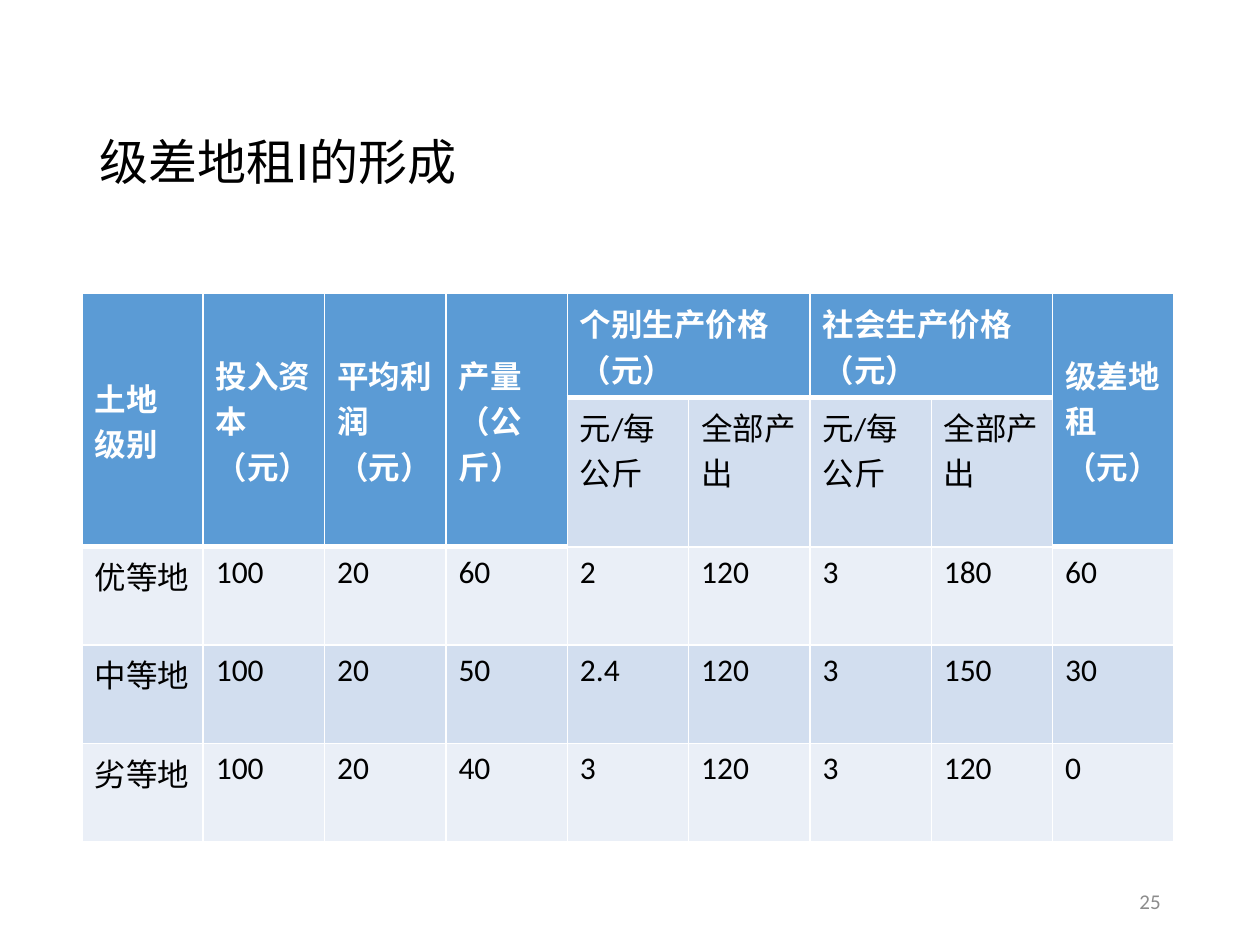
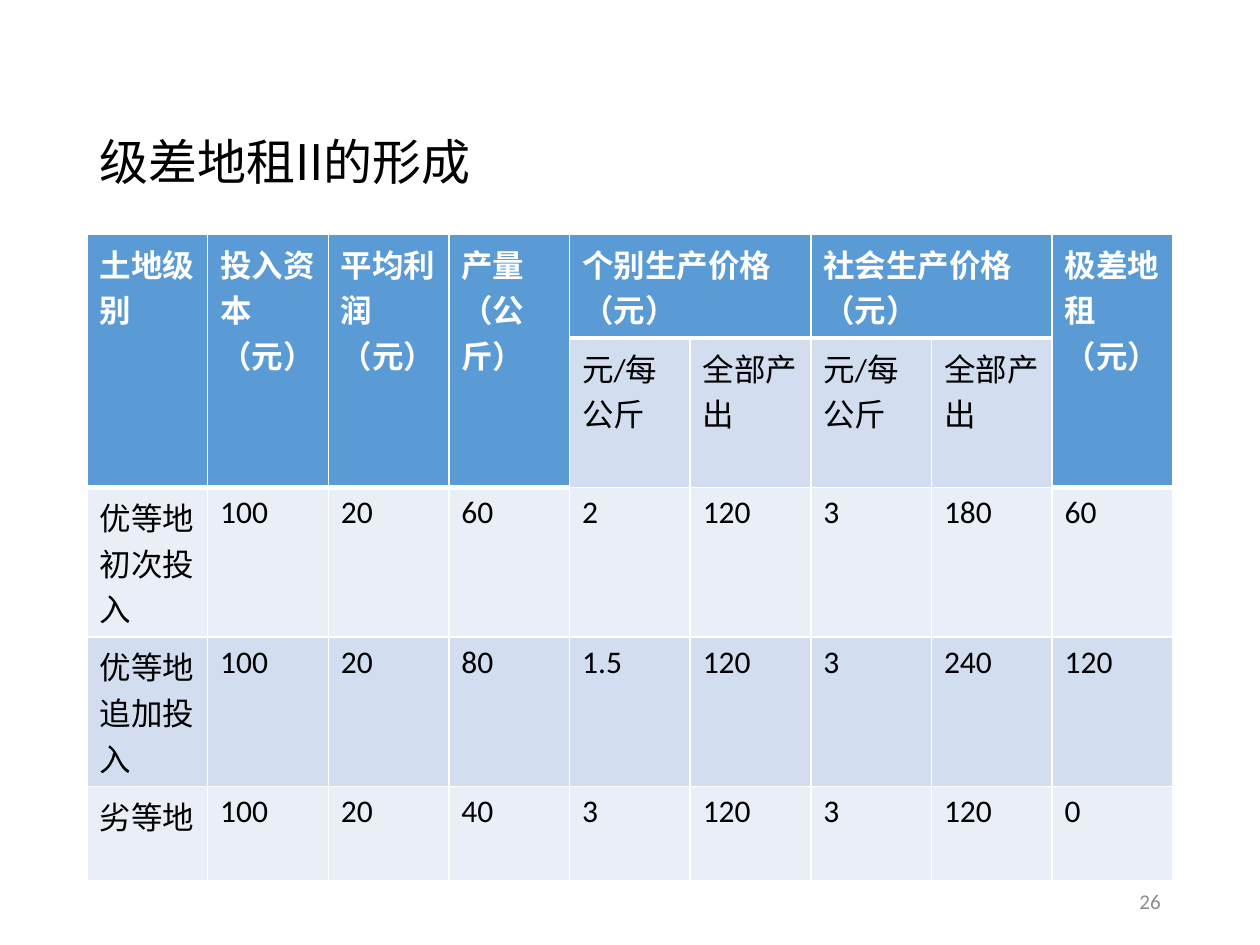
import pptx
import pptx.util
import pptx.dml.color
import pptx.enum.text
import pptx.oxml
import pptx.oxml.ns

# Content: one dict per slide, the first header row spans two rows or two columns
SUBHEADS = ["元/每公斤", "全部产出"] * 2
PRICE_HEADS = ["个别生产价格（元）", "社会生产价格（元）"]
SLIDES = [
    {
        "title": "级差地租I的形成",
        "number": "25",
        "heads": ["土地\n级别", "投入资本（元）", "平均利润（元）", "产量\n（公斤）"],
        "last_head": "级差地租（元）",
        "head_anchor": "MIDDLE",
        "body": [
            ["优等地", "100", "20", "60", "2", "120", "3", "180", "60"],
            ["中等地", "100", "20", "50", "2.4", "120", "3", "150", "30"],
            ["劣等地", "100", "20", "40", "3", "120", "3", "120", "0"],
        ],
        "place": (0.65, 2.33, 8.67),
        "rows": [0.78, 0.71, 0.78, 0.78, 0.78],
    },
    {
        "title": "级差地租II的形成",
        "number": "26",
        "heads": ["土地级别", "投入资本（元）", "平均利润（元）", "产量（公斤）"],
        "last_head": "极差地租（元）",
        "head_anchor": "TOP",
        "body": [
            ["优等地初次投入", "100", "20", "60", "2", "120", "3", "180", "60"],
            ["优等地追加投入", "100", "20", "80", "1.5", "120", "3", "240", "120"],
            ["劣等地", "100", "20", "40", "3", "120", "3", "120", "0"],
        ],
        "place": (0.69, 1.86, 8.62),
        "rows": [0.75] * 5,
    },
]

# Shared look
BLUE, BAND_DARK, BAND_LIGHT = "5B9BD5", "D2DEEF", "EAEFF7"
WHITE, BLACK, GREY = "FFFFFF", "000000", "8C8C8C"
CJK_FONT, LATIN_FONT = "Noto Sans CJK SC", "Calibri"
TITLE_FORMAT = {"size": pptx.util.Pt(28), "name": CJK_FONT, "bold": False}
CELL_FORMAT = {"size": pptx.util.Pt(18), "name": LATIN_FONT, "bold": False}
HEAD_FORMAT = {**CELL_FORMAT, "bold": True}
NUMBER_FORMAT = {"size": pptx.util.Pt(12), "name": LATIN_FONT, "bold": False}
TITLE_AREA = (0.69, 0.88, 6.29, 0.85)
NUMBER_AREA = (7.06, 6.95, 2.25, 0.4)
COLUMNS = 9
PRICE_COLUMNS = range(4, 8)
THIN, THICK = 1, 3

inch = pptx.util.Inches
Anchor = pptx.enum.text.MSO_ANCHOR
Align = pptx.enum.text.PP_ALIGN


def colour(value):
    return pptx.dml.color.RGBColor.from_string(value)


def write(frame, text, formats, ink, align=Align.LEFT, spacing=None):
    frame.word_wrap = True
    frame.text = text
    for para in frame.paragraphs:
        para.alignment = align
        para.line_spacing = spacing
        for span in para.runs:
            for name, value in formats.items():
                setattr(span.font, name, value)
            span.font.color.rgb = colour(ink)
            east_asian = pptx.oxml.parse_xml(
                f'<a:ea {pptx.oxml.ns.nsdecls("a")} typeface="{CJK_FONT}"/>')
            span.font._element.find(pptx.oxml.ns.qn("a:latin")).addnext(east_asian)


def set_borders(cell, widths):
    """Insert white side lines ahead of the cell's fill."""
    for index, (side, points) in enumerate(widths.items()):
        line = pptx.oxml.parse_xml(
            f'<a:ln{side} {pptx.oxml.ns.nsdecls("a")} w="{pptx.util.Pt(points)}">'
            f'<a:solidFill><a:srgbClr val="{WHITE}"/></a:solidFill></a:ln{side}>')
        cell._tc.get_or_add_tcPr().insert(index, line)


def is_head(row, column):
    return row == 0 or (row == 1 and column not in PRICE_COLUMNS)


def add_rent_table(page, content):
    left, top, width = content["place"]
    heights = content["rows"]
    table = page.shapes.add_table(
        len(heights), COLUMNS, inch(left), inch(top), inch(width), inch(sum(heights))).table
    for column in table.columns:
        column.width = inch(width / COLUMNS)
    for row, height in zip(table.rows, heights):
        row.height = inch(height)

    # Price heads cover two columns, the other heads cover two rows
    own, foreign = PRICE_HEADS
    grid = [
        content["heads"] + [own, "", foreign, "", content["last_head"]],
        [""] * 4 + SUBHEADS + [""],
    ] + content["body"]
    for r, texts in enumerate(grid):
        for c, text in enumerate(texts):
            cell = table.cell(r, c)
            head = is_head(r, c)
            below_head = r > 0 and is_head(r - 1, c) and not head
            cell.fill.solid()
            cell.fill.fore_color.rgb = colour(
                BLUE if head else BAND_DARK if r % 2 else BAND_LIGHT)
            set_borders(cell, {"L": THIN, "R": THIN,
                               "T": THICK if below_head else THIN,
                               "B": THICK if head else THIN})
            if text:
                write(cell.text_frame, text, HEAD_FORMAT if head else CELL_FORMAT,
                      WHITE if head else BLACK)
    for c in range(COLUMNS):
        if c not in PRICE_COLUMNS:
            table.cell(0, c).merge(table.cell(1, c))
            table.cell(0, c).vertical_anchor = Anchor[content["head_anchor"]]
    for c in PRICE_COLUMNS[::2]:
        table.cell(0, c).merge(table.cell(0, c + 1))


def add_page(deck, content):
    page = deck.slides.add_slide(deck.slide_layouts[5])

    # Title
    title = page.shapes.title
    title.left, title.top, title.width, title.height = map(inch, TITLE_AREA)
    title.text_frame.vertical_anchor = Anchor.MIDDLE
    write(title.text_frame, content["title"], TITLE_FORMAT, BLACK, spacing=0.9)

    add_rent_table(page, content)

    # Page number
    box = page.shapes.add_textbox(*map(inch, NUMBER_AREA))
    box.text_frame.vertical_anchor = Anchor.MIDDLE
    write(box.text_frame, content["number"], NUMBER_FORMAT, GREY, Align.RIGHT)


def main():
    deck = pptx.Presentation()
    deck.slide_width, deck.slide_height = inch(10), inch(7.5)
    for content in SLIDES:
        add_page(deck, content)
    deck.save("out.pptx")


if __name__ == "__main__":
    main()
